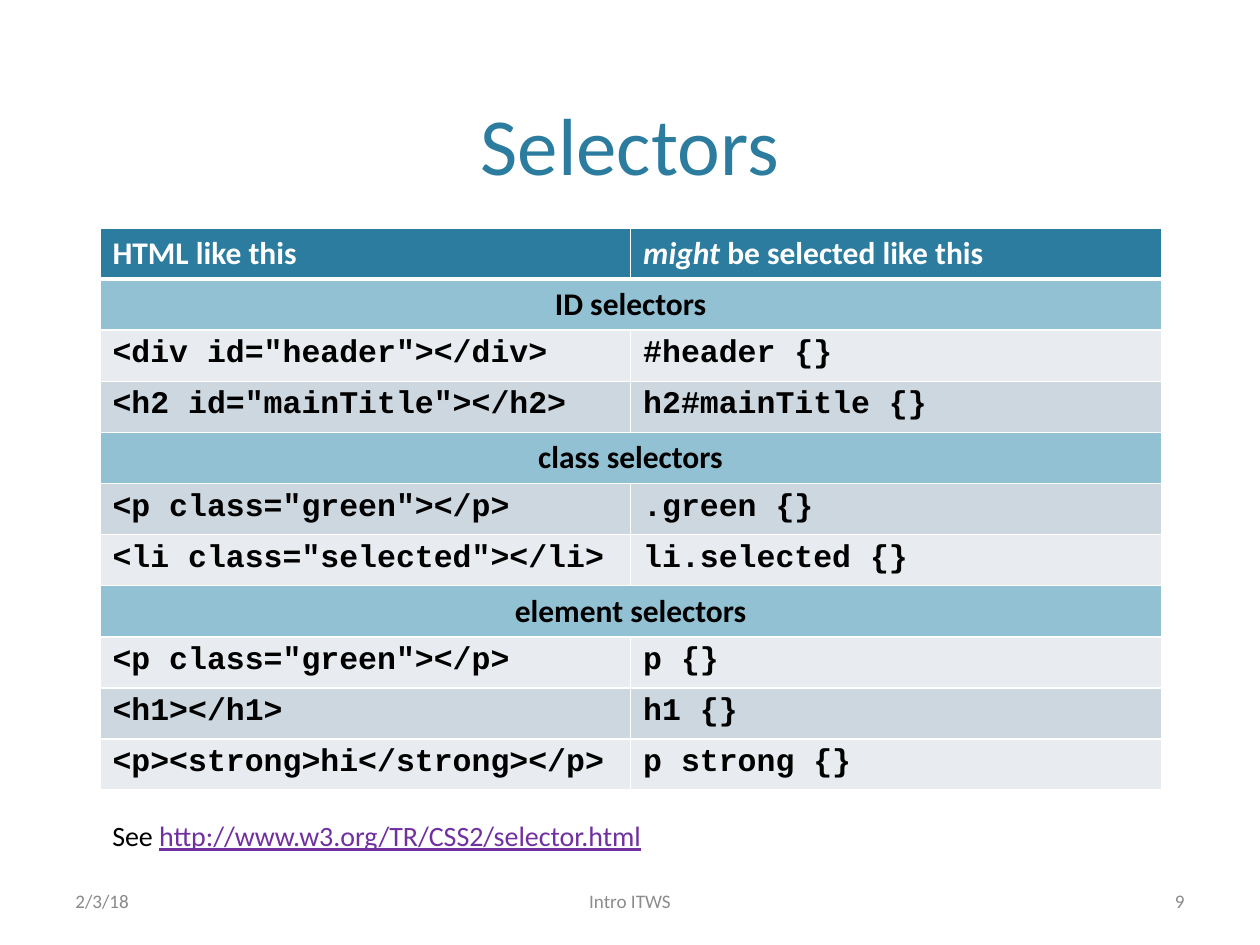
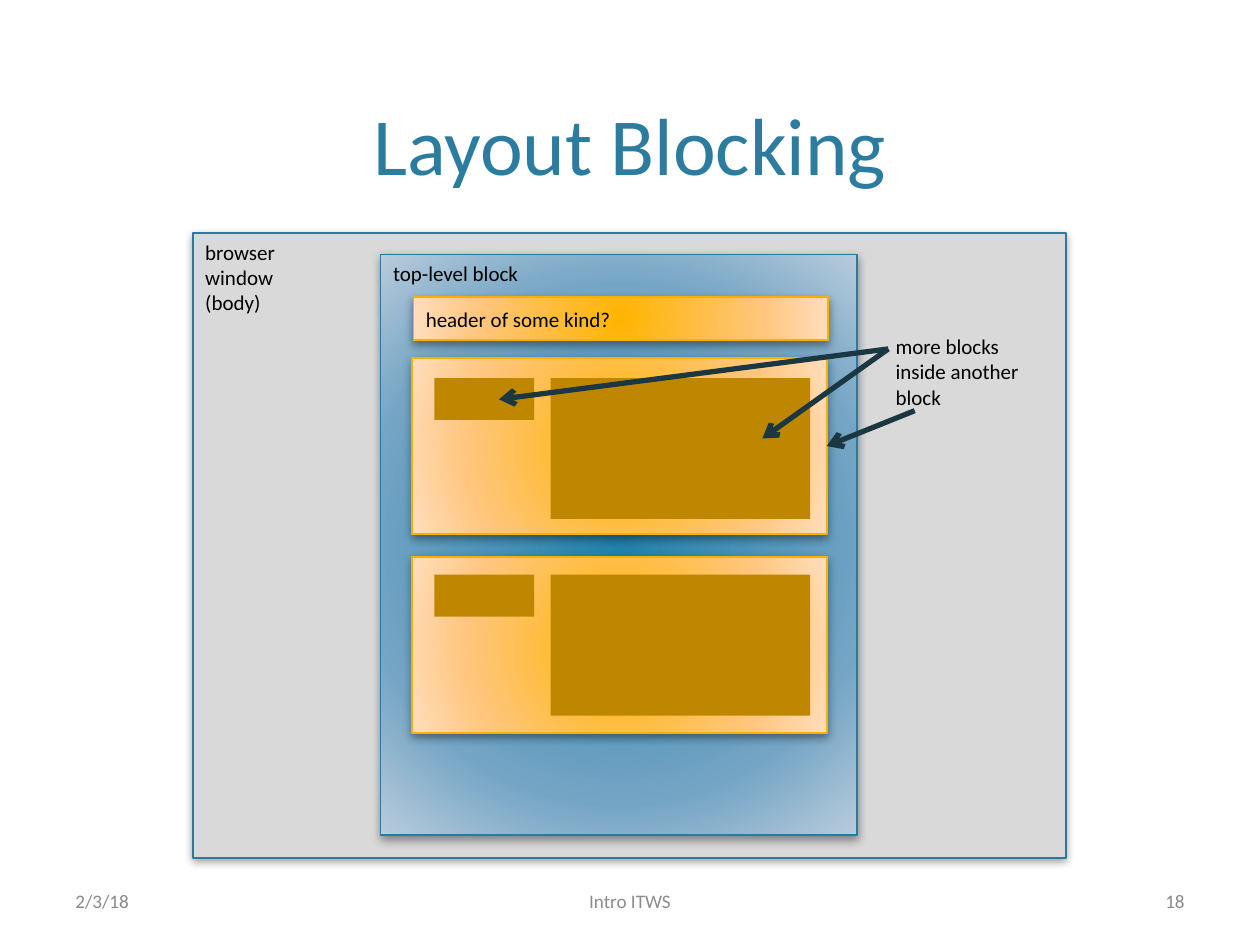
from lxml.etree import SubElement
from pptx import Presentation
from pptx.dml.color import RGBColor
from pptx.enum.shapes import MSO_CONNECTOR, MSO_SHAPE
from pptx.enum.text import MSO_ANCHOR, MSO_AUTO_SIZE, PP_ALIGN
from pptx.oxml import parse_xml
from pptx.oxml.ns import nsdecls, qn
from pptx.util import Pt

# Shared look
TEAL = RGBColor(0x2C, 0x7C, 0x9F)
TEAL_LINE = RGBColor(0x28, 0x7A, 0x9E)
GROUP_BLUE = RGBColor(0x91, 0xC1, 0xD2)
BAND_LIGHT = RGBColor(0xE8, 0xEC, 0xF0)
BAND_DARK = RGBColor(0xCD, 0xD7, 0xDF)
WINDOW_GREY = RGBColor(0xD9, 0xD9, 0xD9)
AMBER_LINE = RGBColor(0xF9, 0xB0, 0x00)
BROWN = RGBColor(0xBF, 0x87, 0x00)
ARROW_DARK = RGBColor(0x1B, 0x38, 0x42)
LINK_PURPLE = RGBColor(0x70, 0x30, 0xA0)
FOOTER_GREY = RGBColor(0x89, 0x89, 0x89)
FOOTER_CENTRE_GREY = RGBColor(0x8C, 0x8C, 0x8C)
BLACK = RGBColor(0, 0, 0)
WHITE = RGBColor(0xFF, 0xFF, 0xFF)
BLUE_GLOW = [(0, "2180AA"), (69, "75A5C5"), (100, "B8CCDC")]
AMBER_GLOW = [(0, "FFB400"), (69, "FFC67F"), (100, "FFDEBD")]
BODY_FONT, CODE_FONT = "Calibri", "Courier New"

# Content
DATE, COURSE = "2/3/18", "Intro ITWS"

SELECTOR_HEADINGS = ("HTML like this", ("might", " be selected like this"))
SELECTOR_GROUPS = [
    ("ID selectors", [
        ('<div id="header"></div>', "#header {}"),
        ('<h2 id="mainTitle"></h2>', "h2#mainTitle {}"),
    ]),
    ("class selectors", [
        ('<p class="green"></p>', ".green {}"),
        ('<li class="selected"></li>', "li.selected {}"),
    ]),
    ("element selectors", [
        ('<p class="green"></p>', "p {}"),
        ("<h1></h1>", "h1 {}"),
        ("<p><strong>hi</strong></p>", "p strong {}"),
    ]),
]
REFERENCE = ("See ", "http://www.w3.org/TR/CSS2/selector.html")

WINDOW_TEXT = "browser\vwindow\n(body)"
BLOCK_TEXT = "top-level block"
HEADER_TEXT = "header of some kind?"
CALLOUT_TEXT = "more blocks inside another block"

# Block geometry in points: left, top, width, height
WINDOW_BOX = (110.2, 133.2, 499, 357)
BLOCK_BOX = (217.5, 145.4, 272.2, 332)
HEADER_BOX = (236.2, 169.8, 236.9, 24.7)
PANEL_LEFT, PANEL_WIDTH, PANEL_HEIGHT = 235.4, 237, 100.8
PANEL_ROWS = [(204.5, 216), (318.2, 328.3)]  # panel top, top of its inner blocks
INNER_BLOCKS = [(248.2, 57, 24), (314.6, 148.4, 80.6)]  # left, width, height


def style_font(font, size, color=BLACK, name=BODY_FONT, bold=None):
    font.name, font.size, font.bold = name, Pt(size), bold
    font.color.rgb = color


def style_text(text_frame, size, color=BLACK, align=PP_ALIGN.LEFT,
               name=BODY_FONT, bold=None):
    for paragraph in text_frame.paragraphs:
        paragraph.alignment = align
        for run in paragraph.runs:
            style_font(run.font, size, color, name, bold)


def add_text(slide, box, text, size, color=BLACK, align=PP_ALIGN.LEFT,
             anchor=MSO_ANCHOR.TOP):
    text_frame = slide.shapes.add_textbox(*map(Pt, box)).text_frame
    text_frame.word_wrap = True
    text_frame.vertical_anchor = anchor
    text_frame.text = text
    style_text(text_frame, size, color, align)
    return text_frame


def add_title_slide(presentation, title, number):
    """Add a slide with the shared title and footer row."""
    slide = presentation.slides.add_slide(presentation.slide_layouts[5])
    shape = slide.shapes.title
    shape.left, shape.top, shape.width, shape.height = map(Pt, (43.2, 8.6, 633.6, 105.1))
    text_frame = shape.text_frame
    text_frame.text = title
    text_frame.auto_size = MSO_AUTO_SIZE.NONE
    text_frame.vertical_anchor = MSO_ANCHOR.BOTTOM
    text_frame.margin_left = text_frame.margin_right = Pt(8)
    text_frame.margin_top = text_frame.margin_bottom = Pt(4)
    style_text(text_frame, 46.3, TEAL, PP_ALIGN.CENTER)

    for left, width, text, color, align in (
            (36, 168, DATE, FOOTER_GREY, PP_ALIGN.LEFT),
            (246, 228, COURSE, FOOTER_CENTRE_GREY, PP_ALIGN.CENTER),
            (516, 168, str(number), FOOTER_GREY, PP_ALIGN.RIGHT)):
        add_text(slide, (left, 500.5, width, 28.8), text, 10.9, color, align,
                 MSO_ANCHOR.MIDDLE)
    return slide


def set_borders(cell, top=1, bottom=1):
    properties = cell._tc.get_or_add_tcPr()
    sides = (("lnL", 1), ("lnR", 1), ("lnT", top), ("lnB", bottom))
    for position, (tag, width) in enumerate(sides):
        properties.insert(position, parse_xml(
            f'<a:{tag} {nsdecls("a")} w="{Pt(width)}"><a:solidFill>'
            f'<a:srgbClr val="{WHITE}"/></a:solidFill></a:{tag}>'))


def fill_cell(cell, text, fill, **style):
    cell.fill.solid()
    cell.fill.fore_color.rgb = fill
    cell.text = text
    style_text(cell.text_frame, 18, bold=True, **style)


def add_selector_table(slide):
    rows = []
    for group, examples in SELECTOR_GROUPS:
        rows += [(group,), *examples]
    row_count = len(rows) + 1
    table = slide.shapes.add_table(row_count, 2, Pt(57.1), Pt(130.3),
                                   Pt(606.6), Pt(29.2 * row_count)).table
    table.horz_banding = False

    # Heading row
    html_heading, (emphasis, rest) = SELECTOR_HEADINGS
    fill_cell(table.cell(0, 0), html_heading, TEAL, color=WHITE)
    selected = table.cell(0, 1)
    fill_cell(selected, emphasis, TEAL, color=WHITE)
    paragraph = selected.text_frame.paragraphs[0]
    paragraph.runs[0].font.italic = True
    run = paragraph.add_run()
    run.text = rest
    style_font(run.font, 18, WHITE, bold=True)

    # Group rows span both columns; example rows alternate by position
    for index, texts in enumerate(rows, start=1):
        if len(texts) == 1:
            table.cell(index, 0).merge(table.cell(index, 1))
            fill_cell(table.cell(index, 0), texts[0], GROUP_BLUE, align=PP_ALIGN.CENTER)
            continue
        band = BAND_DARK if index % 2 else BAND_LIGHT
        for column, text in enumerate(texts):
            fill_cell(table.cell(index, column), text, band, name=CODE_FONT)

    for index, row in enumerate(table.rows):
        for cell in row.cells:
            set_borders(cell, top=3 if index == 1 else 1, bottom=3 if index == 0 else 1)


def build_selectors(presentation):
    slide = add_title_slide(presentation, "Selectors", 9)
    add_selector_table(slide)

    # Reference line
    lead, address = REFERENCE
    text_frame = add_text(slide, (57.1, 464.4, 347.8, 26.6), lead, 16)
    text_frame.word_wrap = False
    run = text_frame.paragraphs[0].add_run()
    run.text = address
    style_font(run.font, 16, LINK_PURPLE)
    run.font.underline = True


def fill_glow(shape, stops):
    """Fill a shape with a radial gradient."""
    stop_xml = "".join(f'<a:gs pos="{position * 1000}"><a:srgbClr val="{color}"/></a:gs>'
                       for position, color in stops)
    gradient = parse_xml(
        f'<a:gradFill {nsdecls("a")} rotWithShape="1"><a:gsLst>{stop_xml}</a:gsLst>'
        '<a:path path="circle"><a:fillToRect l="100000" t="100000" r="100000" b="100000"/>'
        '</a:path></a:gradFill>')
    shape._element.spPr.find(qn("a:prstGeom")).addnext(gradient)


def add_block(slide, box, fill, line=None, text=None, anchor=MSO_ANCHOR.TOP):
    """Add a rectangle; outlined blocks also cast a soft shadow."""
    shape = slide.shapes.add_shape(MSO_SHAPE.RECTANGLE, *map(Pt, box))
    shape.shadow.inherit = False
    if isinstance(fill, list):
        fill_glow(shape, fill)
    else:
        shape.fill.solid()
        shape.fill.fore_color.rgb = fill
    if line is None:
        shape.line.fill.background()
    else:
        shape.line.color.rgb = line
        shape.line.width = Pt(1)
        shape._element.spPr.find(qn("a:effectLst")).append(parse_xml(
            f'<a:outerShdw {nsdecls("a")} blurRad="{Pt(5)}" dist="{Pt(2)}" dir="5400000" '
            'rotWithShape="0"><a:srgbClr val="000000"><a:alpha val="40000"/></a:srgbClr>'
            '</a:outerShdw>'))
    if text:
        shape.text_frame.text = text
        shape.text_frame.vertical_anchor = anchor
        style_text(shape.text_frame, 12)
    return shape


def add_arrow(slide, start, end):
    arrow = slide.shapes.add_connector(MSO_CONNECTOR.STRAIGHT, *map(Pt, start + end))
    arrow.line.color.rgb = ARROW_DARK
    arrow.line.width = Pt(3)
    SubElement(arrow.line._get_or_add_ln(), qn("a:tailEnd"), type="arrow")
    SubElement(arrow._element.spPr, qn("a:effectLst"))
    return arrow


def build_layout_blocking(presentation):
    slide = add_title_slide(presentation, "Layout Blocking", 18)

    # Nested blocks
    add_block(slide, WINDOW_BOX, WINDOW_GREY, TEAL_LINE, WINDOW_TEXT)
    add_block(slide, BLOCK_BOX, BLUE_GLOW, TEAL_LINE, BLOCK_TEXT)
    add_block(slide, HEADER_BOX, AMBER_GLOW, AMBER_LINE, HEADER_TEXT, MSO_ANCHOR.MIDDLE)
    panels = []
    for panel_top, inner_top in PANEL_ROWS:
        panel_box = (PANEL_LEFT, panel_top, PANEL_WIDTH, PANEL_HEIGHT)
        panels.append(add_block(slide, panel_box, AMBER_GLOW, AMBER_LINE))
        for left, width, height in INNER_BLOCKS:
            add_block(slide, (left, inner_top, width, height), BROWN)

    # Callout and its arrows
    add_text(slide, (504.7, 187.2, 97.9, 51.1), CALLOUT_TEXT, 12)
    callout_corner = (507.6, 199.4)
    add_arrow(slide, callout_corner, (435.6, 250.6))
    add_arrow(slide, callout_corner, (285.1, 228.2))
    panel_side = (PANEL_LEFT + PANEL_WIDTH, PANEL_ROWS[0][0] + PANEL_HEIGHT / 2)
    add_arrow(slide, (522.7, 234.7), panel_side).end_connect(panels[0], 3)


def main():
    presentation = Presentation()
    presentation.slide_width, presentation.slide_height = Pt(720), Pt(540)
    build_selectors(presentation)
    build_layout_blocking(presentation)
    presentation.save("out.pptx")


if __name__ == "__main__":
    main()
